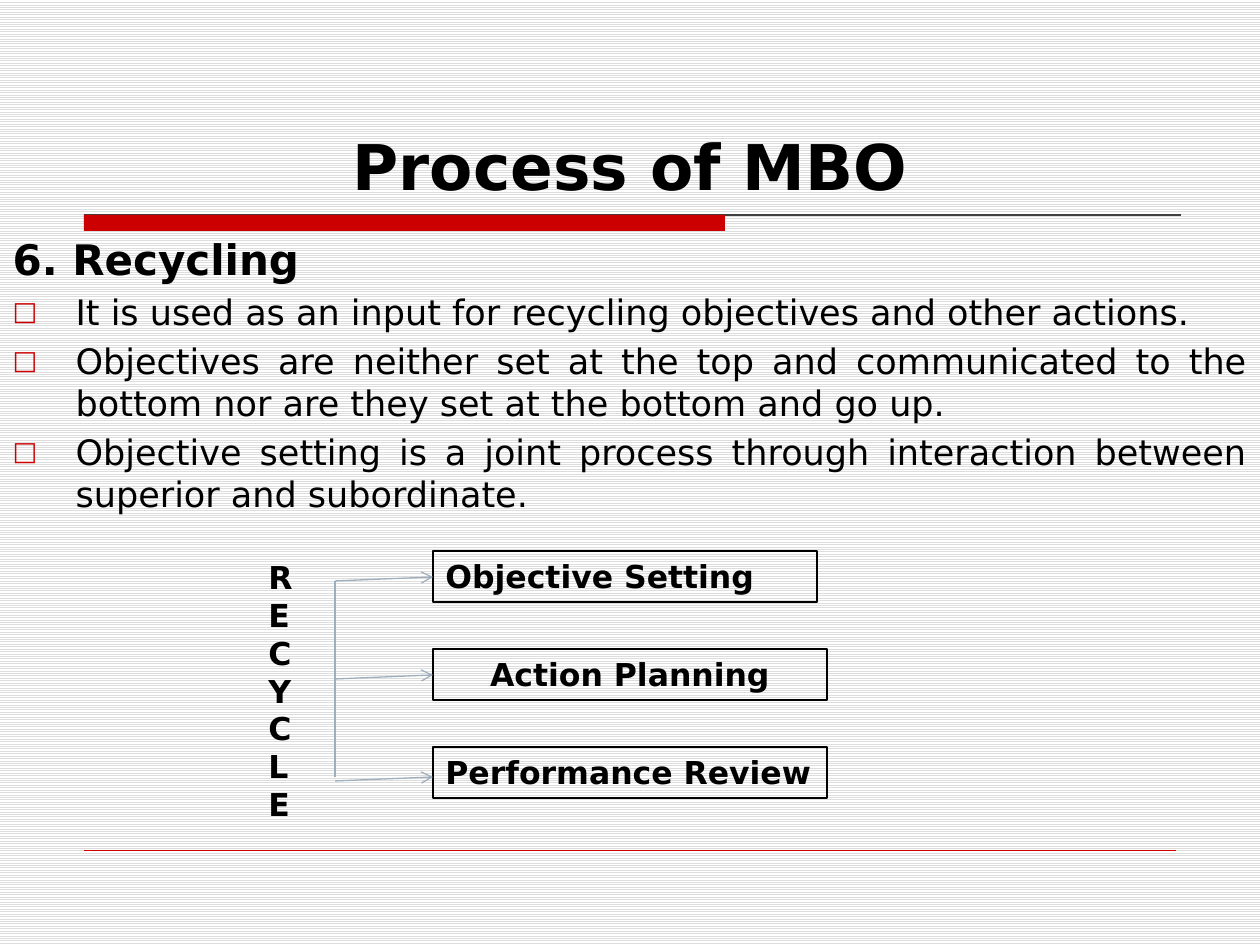
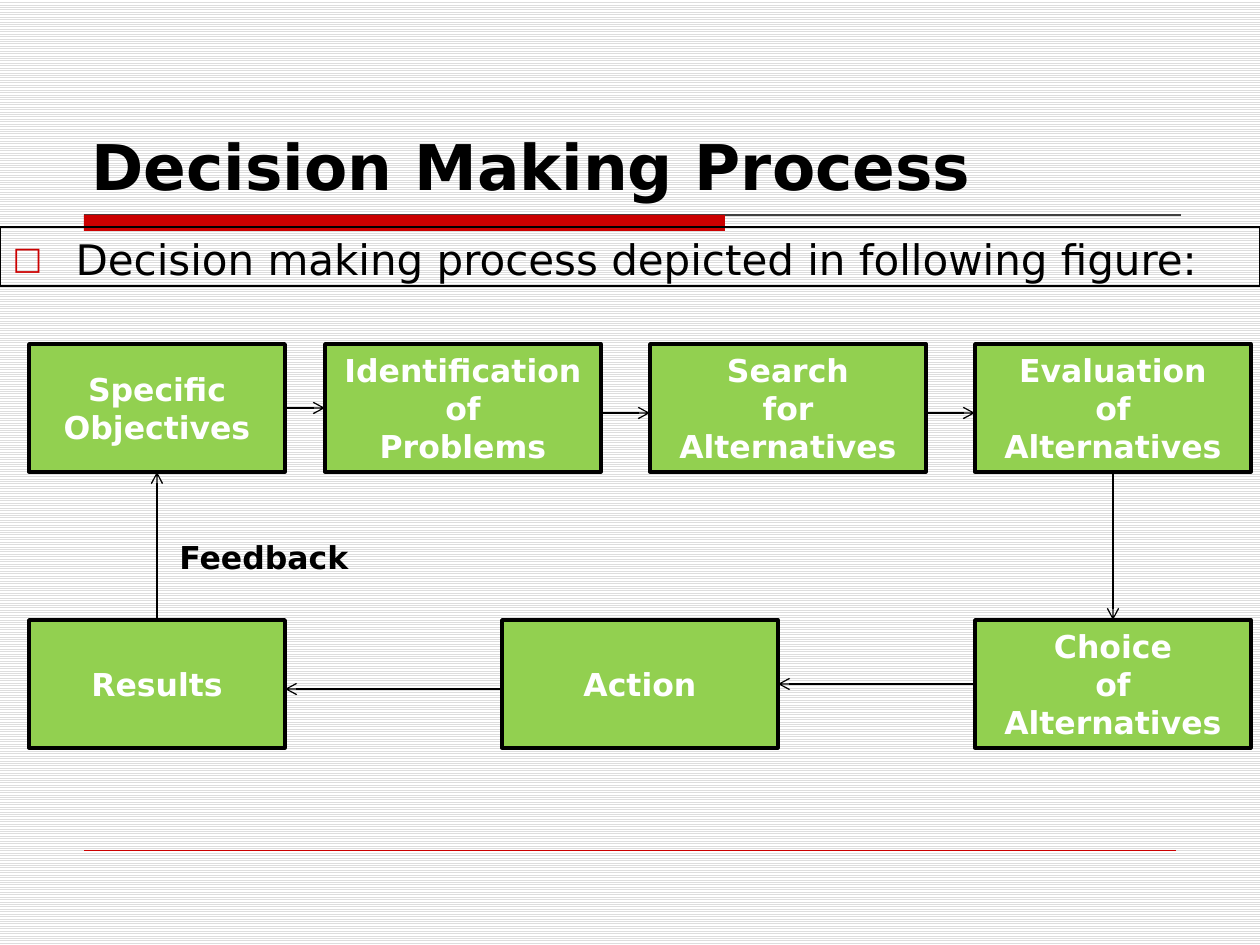
"""Builds two management slides: the MBO recycling step and the decision making process."""
import pptx
import pptx.util
import pptx.dml.color
import pptx.enum.dml
import pptx.enum.shapes
import pptx.enum.text
import pptx.oxml.ns
import lxml.etree

ALIGN = pptx.enum.text.PP_ALIGN
ANCHOR = pptx.enum.text.MSO_ANCHOR
RECTANGLE = pptx.enum.shapes.MSO_SHAPE.RECTANGLE
STRAIGHT = pptx.enum.shapes.MSO_CONNECTOR.STRAIGHT
QN = pptx.oxml.ns.qn
PX = 914400 // 126
FONT = "DejaVu Sans"
COLOURS = {
    "red": "CC0000", "ink": "000000", "rule": "404040", "paper": "FFFFFF",
    "stripe": "DDDDDD", "green": "92D050", "branch": "9FAEBD",
}

TITLE_AREA = (79, 42, 1102, 167)
RED_BAND = (84, 215, 641, 16)
TITLE_RULE = ((84, 215), (1181, 215))
FOOTER_RULE = ((84, 850), (1176, 850))

RECYCLING = {
    "title": ("Process of MBO", ALIGN.CENTER),
    "area": (0, 227, 1260, 295),
    "points": [
        ("6. Recycling", 24, True),
        ("It is used as an input for recycling objectives and other actions.", 20, False),
        ("Objectives are neither set at the top and communicated to the bottom "
         "nor are they set at the bottom and go up.", 20, False),
        ("Objective setting is a joint process through interaction between "
         "superior and subordinate.", 20, False),
    ],
}
RECYCLE_WORD = ("RECYCLE", (256, 552, 59, 280))
STAGES = [
    ("Objective Setting", 384, ALIGN.LEFT, 581),
    ("Action Planning", 394, ALIGN.CENTER, 679),
    ("Performance Review", 394, ALIGN.LEFT, 781),
]
STAGE_LEFT, STAGE_TOP, STAGE_STEP, STAGE_HEIGHT = 433, 551, 98, 51
STEM_X, BRANCH_RISE = 335, 4

DECISION = {
    "title": ("Decision Making Process", ALIGN.LEFT),
    "area": (0, 227, 1260, 59),
    "points": [("Decision making process depicted in following figure:", 24, False)],
}
STEP_TOPS, STEP_HEIGHT = (344, 620), 128
STEPS = [
    (["Specific Objectives"], 29, 256, 0),
    (["Identification of", "Problems"], 325, 276, 0),
    (["Search", "for Alternatives"], 650, 276, 0),
    (["Evaluation", "of Alternatives"], 975, 276, 0),
    (["Choice", "of Alternatives"], 975, 276, 1),
    (["Action"], 502, 276, 1),
    (["Results"], 29, 256, 1),
]
ARROW_DROPS = [0, 5, 5, 0, 0, 5, 0]
FEEDBACK = ("Feedback", (167, 532, 197, 51))


def rgb(name):
    return pptx.dml.color.RGBColor.from_string(COLOURS[name])


def apply(target, formats):
    for attribute, value in formats.items():
        setattr(target, attribute, value)


def place(shape, area):
    apply(shape, dict(zip(("left", "top", "width", "height"), (n * PX for n in area))))


def outline(shape, colour, width):
    shape.line.color.rgb = rgb(colour)
    shape.line.width = pptx.util.Pt(width)


def style_font(paragraph, size, bold, colour="ink"):
    run_font = paragraph.runs[0].font
    apply(run_font, {"name": FONT, "size": pptx.util.Pt(size), "bold": bold})
    run_font.color.rgb = rgb(colour)


def write(shape, lines, align=ALIGN.LEFT, anchor=ANCHOR.TOP, size=18, colour="ink"):
    frame = shape.text_frame
    frame.text = "\n".join(lines)
    apply(frame, {"word_wrap": True, "vertical_anchor": anchor,
                  "auto_size": pptx.enum.text.MSO_AUTO_SIZE.NONE})
    for paragraph in frame.paragraphs:
        paragraph.alignment = align
        style_font(paragraph, size, True, colour)


def add_box(slide, area, fill=None, line_width=0.75):
    box = slide.shapes.add_shape(RECTANGLE, *(n * PX for n in area))
    box.shadow.inherit = False
    if fill:
        box.fill.solid()
        box.fill.fore_color.rgb = rgb(fill)
    else:
        box.fill.background()
    if line_width:
        outline(box, "ink", line_width)
    else:
        box.line.fill.background()
    return box


def add_label(slide, words, area):
    label = slide.shapes.add_textbox(*(n * PX for n in area))
    write(label, [words])


def add_line(slide, start, end, colour="ink", width=0.75, arrow=False):
    line = slide.shapes.add_connector(STRAIGHT, *(int(n * PX) for n in (*start, *end)))
    outline(line, colour, width)
    properties = line.element.spPr
    if arrow:
        lxml.etree.SubElement(properties.find(QN("a:ln")), QN("a:tailEnd"), type="arrow")
    lxml.etree.SubElement(properties, QN("a:effectLst"))
    return line


def set_bullet(paragraph, bulleted):
    properties = paragraph._p.get_or_add_pPr()
    indent = 63 * PX
    properties.set("marL", str(indent))
    properties.set("indent", str(-indent))
    if not bulleted:
        lxml.etree.SubElement(properties, QN("a:buNone"))
        return
    colour = lxml.etree.SubElement(properties, QN("a:buClr"))
    lxml.etree.SubElement(colour, QN("a:srgbClr"), val=COLOURS["red"])
    lxml.etree.SubElement(properties, QN("a:buSzPct"), val="75000")
    lxml.etree.SubElement(properties, QN("a:buFont"), typeface=FONT)
    lxml.etree.SubElement(properties, QN("a:buChar"), char="□")


def add_slide(deck, content):
    slide = deck.slides.add_slide(deck.slide_layouts[1])
    title, body = slide.placeholders
    words, align = content["title"]
    place(title, TITLE_AREA)
    write(title, [words], align, ANCHOR.BOTTOM, 36)
    place(body, content["area"])
    points = content["points"]
    write(body, [text for text, _, _ in points], ALIGN.JUSTIFY)
    for index, (paragraph, (_, size, heading)) in enumerate(zip(body.text_frame.paragraphs, points)):
        paragraph.space_before = pptx.util.Pt(4 if index else 0)
        set_bullet(paragraph, not heading)
        style_font(paragraph, size, heading)
    return slide, body


def decorate_master(deck, slide):
    master = deck.slide_master
    backdrop = master.background.fill
    backdrop.patterned()
    backdrop.pattern = pptx.enum.dml.MSO_PATTERN.LIGHT_HORIZONTAL
    backdrop.fore_color.rgb = rgb("stripe")
    backdrop.back_color.rgb = rgb("paper")
    bands = [
        add_line(slide, *TITLE_RULE, "rule"),
        add_box(slide, RED_BAND, "red", 0),
        add_line(slide, *FOOTER_RULE, "red", 0.25),
    ]
    for index, band in enumerate(bands):
        band.element.xpath(".//p:cNvPr")[0].set("id", str(100 + index))
        master.shapes.element.insert(2 + index, band.element)


def draw_recycling(slide):
    for index, (words, width, align, branch_y) in enumerate(STAGES):
        area = (STAGE_LEFT, STAGE_TOP + index * STAGE_STEP, width, STAGE_HEIGHT)
        write(add_box(slide, area), [words], align)
        add_line(slide, (STEM_X, branch_y), (STAGE_LEFT, branch_y - BRANCH_RISE),
                 "branch", arrow=True)
    stem_top, stem_bottom = STAGES[0][3], STAGES[-1][3] - BRANCH_RISE
    add_line(slide, (STEM_X, stem_top), (STEM_X, stem_bottom), "branch")
    add_label(slide, *RECYCLE_WORD)


def draw_decision(slide):
    for lines, left, width, row in STEPS:
        step = add_box(slide, (left, STEP_TOPS[row], width, STEP_HEIGHT), "green", 2)
        write(step, lines, ALIGN.CENTER, ANCHOR.MIDDLE, colour="paper")
    add_label(slide, *FEEDBACK)
    for source, target, drop in zip(STEPS, STEPS[1:] + STEPS[:1], ARROW_DROPS):
        _, left, width, row = source
        _, next_left, next_width, next_row = target
        if row == next_row:
            y = STEP_TOPS[row] + STEP_HEIGHT / 2 + drop
            forward = next_left > left
            start = (left + width if forward else left, y)
            end = (next_left if forward else next_left + next_width, y)
        else:
            x = left + width / 2
            upper, lower = (x, STEP_TOPS[0] + STEP_HEIGHT), (x, STEP_TOPS[1])
            start, end = (upper, lower) if row < next_row else (lower, upper)
        add_line(slide, start, end, arrow=True)


def main():
    deck = pptx.Presentation()
    apply(deck, {"slide_width": 1260 * PX, "slide_height": 945 * PX})
    recycling, _ = add_slide(deck, RECYCLING)
    decorate_master(deck, recycling)
    draw_recycling(recycling)
    decision, intro = add_slide(deck, DECISION)
    outline(intro, "ink", 0.75)
    draw_decision(decision)
    deck.save("out.pptx")


if __name__ == "__main__":
    main()
